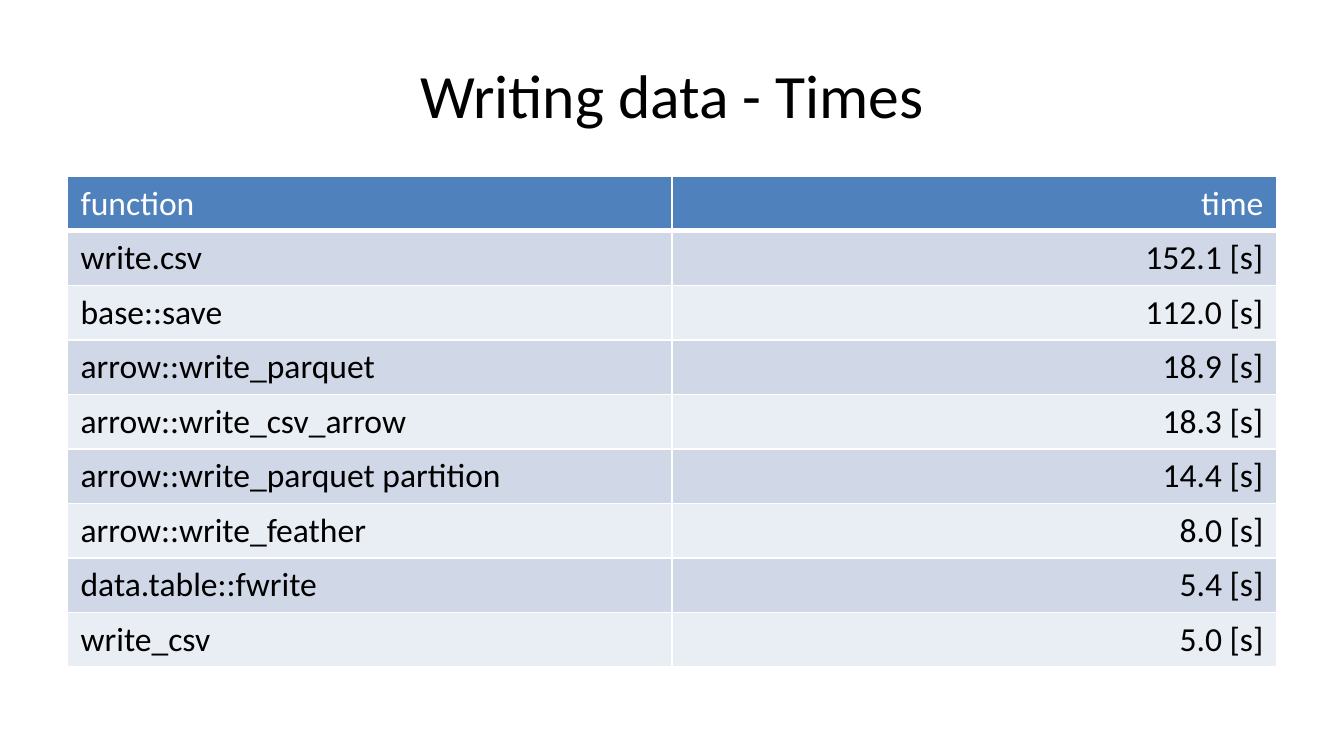
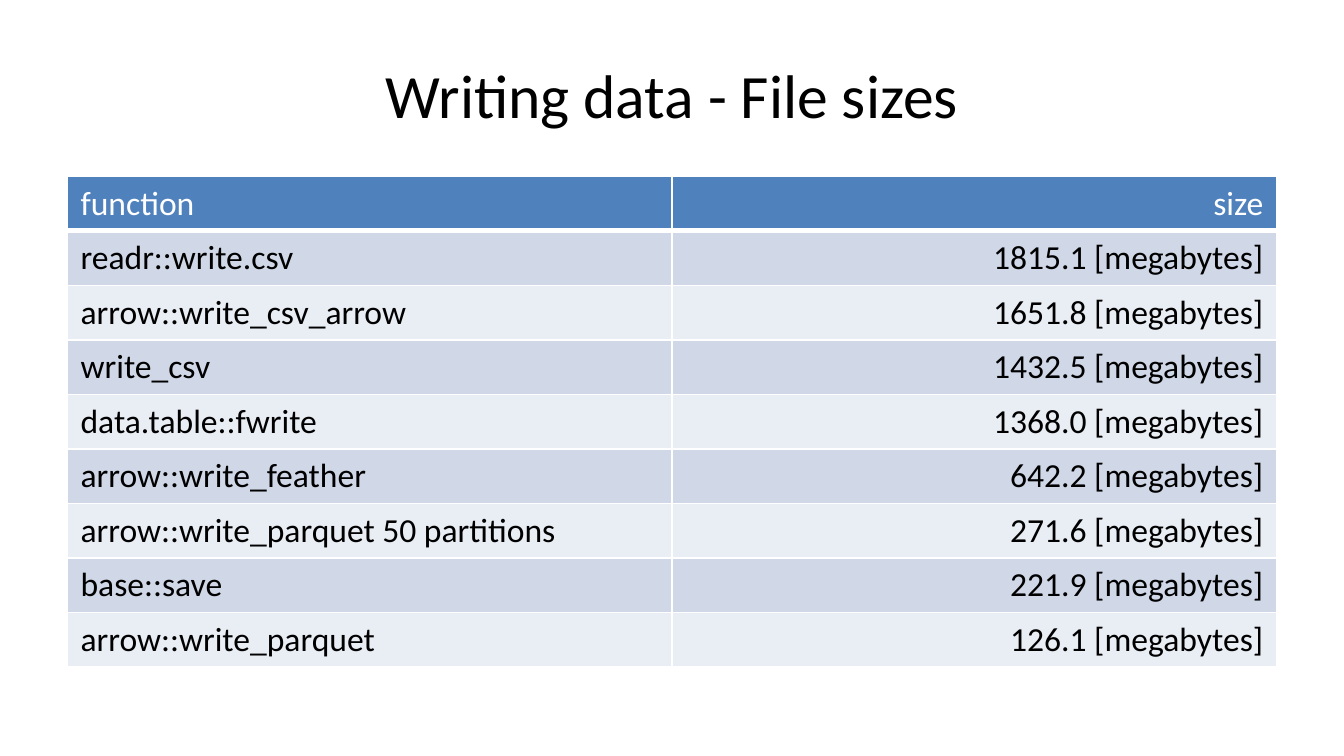
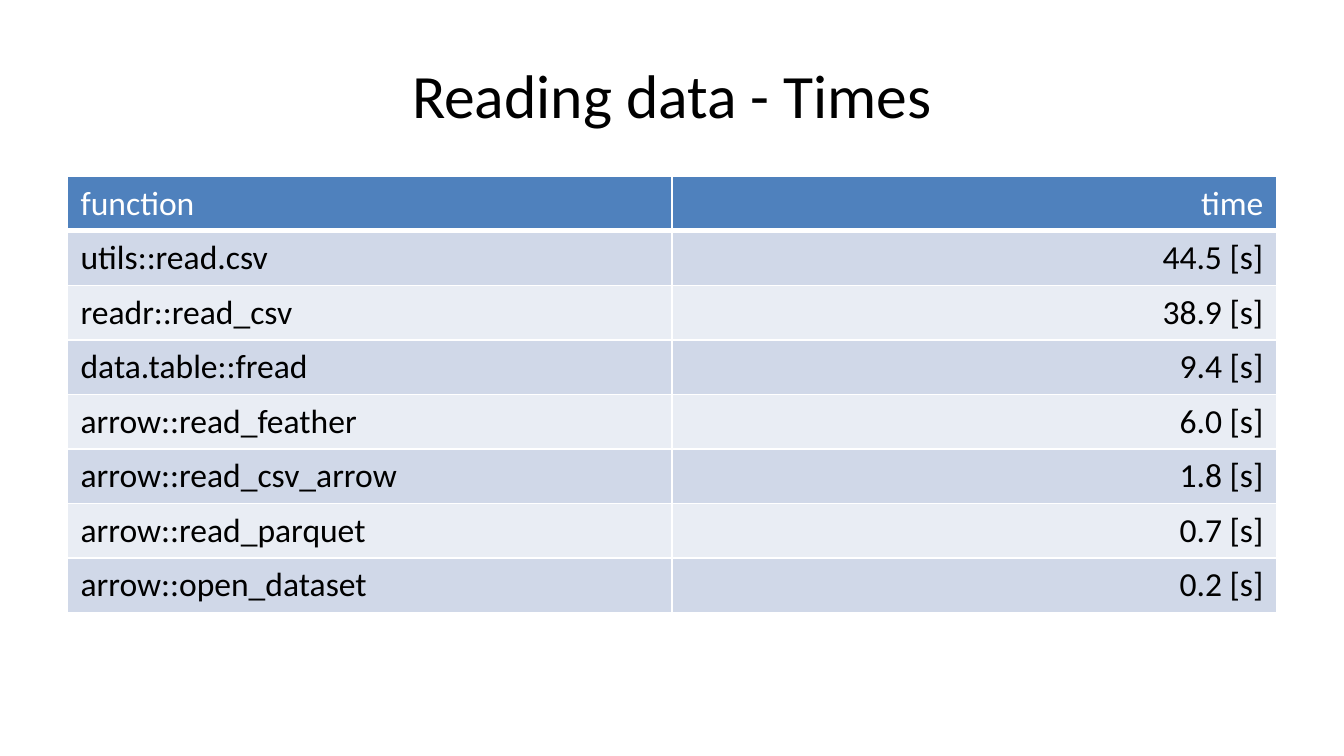
from lxml import etree
from pptx import Presentation
from pptx import util as u
from pptx.dml.color import RGBColor
from pptx.enum import text
from pptx.oxml import ns

BLACK = RGBColor(0x00, 0x00, 0x00)
WHITE = RGBColor(0xFF, 0xFF, 0xFF)
HEADER_BLUE = RGBColor(0x4F, 0x81, 0xBD)
BANDS = (RGBColor(0xD0, 0xD8, 0xE8), RGBColor(0xE9, 0xED, 0xF4))


class Deck:
    font_name = "Calibri"
    left, width = u.Pt(36), u.Pt(648)
    title_top, title_height = u.Pt(16.5), u.Pt(67.5)
    table_top, row_height = u.Pt(94.5), u.Pt(29.2)
    alignments = (text.PP_ALIGN.LEFT, text.PP_ALIGN.RIGHT)

    def __init__(self):
        self.presentation = Presentation()
        self.presentation.slide_width = u.Pt(720)
        self.presentation.slide_height = u.Pt(405)
        self.slide = None

    def add_slide(self):
        blank = self.presentation.slide_layouts[6]
        self.slide = self.presentation.slides.add_slide(blank)

    def add_words(self, frame, words, size, color, alignment):
        paragraph = frame.paragraphs[0]
        paragraph.alignment = alignment
        run = paragraph.add_run()
        run.text = words
        formats = {"name": self.font_name, "size": u.Pt(size), "bold": False}
        for attribute, value in formats.items():
            setattr(run.font, attribute, value)
        run.font.color.rgb = color

    def title(self, words):
        shape = self.slide.shapes.add_textbox(
            self.left, self.title_top, self.width, self.title_height)
        frame = shape.text_frame
        frame.word_wrap = True
        frame.vertical_anchor = text.MSO_ANCHOR.MIDDLE
        self.add_words(frame, words, 33, BLACK, text.PP_ALIGN.CENTER)

    def borders(self, cell, bottom):
        properties = cell._tc.get_or_add_tcPr()
        widths = {"lnL": 1, "lnR": 1, "lnT": 1, "lnB": bottom}
        for position, (side, width) in enumerate(widths.items()):
            line = etree.Element(ns.qn(f"a:{side}"), w=str(u.Pt(width)))
            fill = etree.SubElement(line, ns.qn("a:solidFill"))
            etree.SubElement(fill, ns.qn("a:srgbClr"), val=str(WHITE))
            properties.insert(position, line)

    def table(self, rows):
        table = self.slide.shapes.add_table(
            len(rows), 2, self.left, self.table_top,
            self.width, self.row_height * len(rows)).table
        for row_index, row in enumerate(rows):
            is_header = row_index == 0
            fill = HEADER_BLUE if is_header else BANDS[(row_index - 1) % 2]
            color = WHITE if is_header else BLACK
            for column, words in enumerate(row):
                cell = table.cell(row_index, column)
                cell.fill.solid()
                cell.fill.fore_color.rgb = fill
                self.borders(cell, 3 if is_header else 1)
                self.add_words(cell.text_frame, words, 18, color, self.alignments[column])

    def benchmark(self, title, measure, unit, results):
        self.add_slide()
        self.title(title)
        rows = [(name, f"{value:.1f} [{unit}]") for name, value in results]
        self.table([("function", measure)] + rows)


deck = Deck()
deck.benchmark("Writing data - Times", "time", "s", [
    ("write.csv", 152.1),
    ("base::save", 112.0),
    ("arrow::write_parquet", 18.9),
    ("arrow::write_csv_arrow", 18.3),
    ("arrow::write_parquet partition", 14.4),
    ("arrow::write_feather", 8.0),
    ("data.table::fwrite", 5.4),
    ("write_csv", 5.0),
])
deck.benchmark("Writing data - File sizes", "size", "megabytes", [
    ("readr::write.csv", 1815.1),
    ("arrow::write_csv_arrow", 1651.8),
    ("write_csv", 1432.5),
    ("data.table::fwrite", 1368.0),
    ("arrow::write_feather", 642.2),
    ("arrow::write_parquet 50 partitions", 271.6),
    ("base::save", 221.9),
    ("arrow::write_parquet", 126.1),
])
deck.benchmark("Reading data - Times", "time", "s", [
    ("utils::read.csv", 44.5),
    ("readr::read_csv", 38.9),
    ("data.table::fread", 9.4),
    ("arrow::read_feather", 6.0),
    ("arrow::read_csv_arrow", 1.8),
    ("arrow::read_parquet", 0.7),
    ("arrow::open_dataset", 0.2),
])
deck.presentation.save("out.pptx")
